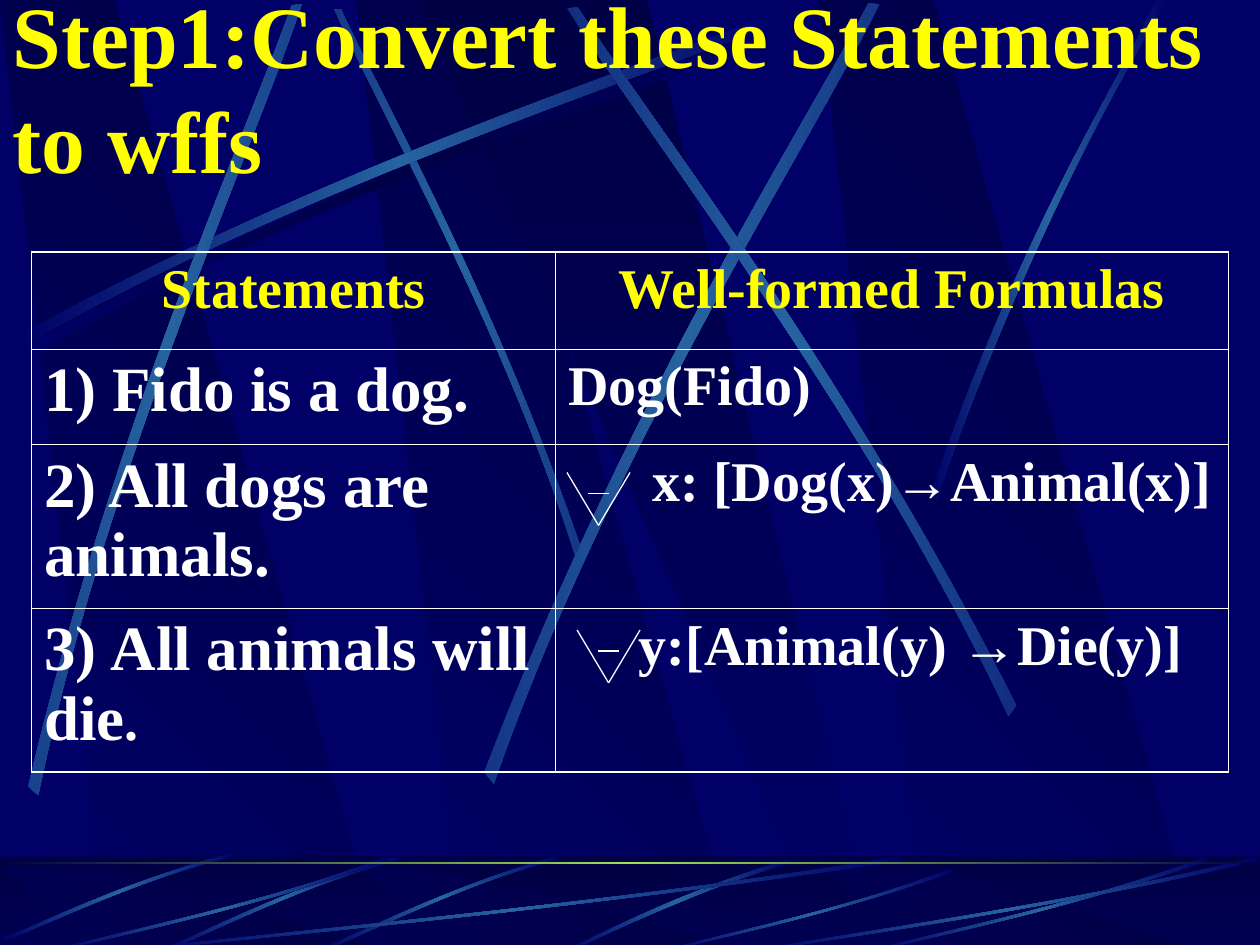
from dataclasses import dataclass

from lxml.etree import SubElement
from pptx import Presentation
from pptx.dml.color import RGBColor
from pptx.enum.shapes import MSO_CONNECTOR, MSO_SHAPE
from pptx.enum.text import MSO_ANCHOR, MSO_AUTO_SIZE, PP_ALIGN
from pptx.oxml.ns import qn
from pptx.util import Inches, Pt


@dataclass(frozen=True)
class Theme:
    navy: str = "000066"
    dark: str = "000044"
    streak: str = "2663A0"
    glow: str = "9CE157"
    accent: str = "FFFF00"
    text: str = "FFFFFF"
    font: str = "Times New Roman"
    symbol_font: str = "Arial"
    title: int = 50
    statement: int = 36
    formula: int = 32
    outer: float = 1.08
    inner: float = 0.45
    stroke: float = 0.75


T = Theme()
W, H = 10, 7.5
FADE = (T.navy, T.streak, T.navy)
SHADE = (T.navy, T.dark, T.navy)
FALL, RISE = (T.navy, T.dark), (T.dark, T.navy)

# A streak is two Bezier edges, four points each, in shares of its box
LONG_STREAK = [(0, .96), (.43, .43), (.83, .15), (.99, 0),
               (1, .02), (.83, .19), (.38, .5), (0, 1)]
FLAT_STREAK = [(1, .04), (.57, .57), (.17, .85), (.01, 1),
               (0, .99), (.17, .81), (.62, .51), (.99, 0)]
BENT_STREAK = [(.99, 0), (.49, .37), (.16, .82), (0, .99),
               (.03, 1), (.23, .75), (.68, .25), (1, .04)]
SIDE_STREAK = [(0, .99), (.4, .44), (.79, .17), (.95, 0),
               (1, 0), (.52, .37), (.16, .81), (.03, 1)]
BAND = [(.28, 1), (1, 1), (.3, 0), (0, 0)]
WIDE_BAND = [(0, 0), (.9, 1), (1, 1), (.5, 0)]


def paint(shape, colors, angle=0):
    """Even gradient, clockwise angle, that stays level when the shape turns."""
    shape.fill.gradient()
    shape.fill.gradient_angle = (360 - angle) % 360
    next(shape._element.iter(qn("a:gradFill"))).set("rotWithShape", "0")
    stops = next(shape._element.iter(qn("a:gsLst")))
    stops.clear()
    for i, color in enumerate(colors):
        gs = SubElement(stops, qn("a:gs"), pos=str(100000 * i // (len(colors) - 1)))
        SubElement(gs, qn("a:srgbClr"), val=color)
    plain(shape)


def plain(shape):
    shape.line.fill.background()
    shape.shadow.inherit = False


def place(box, points):
    x, y, w, h = box
    return [(Inches(x + w * px), Inches(y + h * py)) for px, py in points]


def polygon(s, points):
    builder = s.shapes.build_freeform(*points[0])
    builder.add_line_segments(points[1:], close=True)
    return builder.convert_to_shape()


def streak(s, box, edges, colors=FADE, turn=0, flip=False):
    if flip:
        edges = [(1 - x, y) for x, y in edges]
    pts = place(box, edges)
    shape = polygon(s, [pts[i] for i in (0, 3, 4, 7)])
    sides = list(shape._element.iter(qn("a:lnTo")))
    for side, controls in ((sides[0], pts[1:3]), (sides[2], pts[5:7])):
        curve = SubElement(side.getparent(), qn("a:cubicBezTo"))
        side.getparent().replace(side, curve)
        for x, y in controls:
            SubElement(curve, qn("a:pt"), x=str(x - shape.left), y=str(y - shape.top))
        curve.append(side[0])
    shape.rotation = turn
    paint(shape, colors)


def bar(s, box):
    return s.shapes.add_shape(MSO_SHAPE.RECTANGLE, *map(Inches, box))


def bands(s, top, height):
    for left in (2.83, 0, 6.5):
        paint(polygon(s, place((left, top, 3.02, height), BAND)), FALL, 315)
    paint(polygon(s, place((3.33, top, 3.61, height), WIDE_BAND)), RISE, 90)


def backdrop(s):
    bands(s, 0, 7.52)
    for box, colors, turn, flip in (
            ((.2, .18, 6.08, 2.67), SHADE, 0, False),
            ((1.41, 1.35, 4.42, 1.75), FADE, 45, True),
            ((.14, .1, 6.08, 2.67), FADE, 0, False),
            ((-1.71, 1.82, 6.08, 2.67), FADE, 311.7, False),
            ((2.31, 1.6, 6.24, 3.01), FADE, 321.6, False),
            ((3.23, 1.52, 6.08, 2.67), FADE, 34.8, True)):
        streak(s, box, LONG_STREAK, colors, turn, flip)
    streak(s, (7.38, 0, 1.89, 3.97), SIDE_STREAK)


def floor(s, top, height):
    paint(bar(s, (0, top, W, height)), RISE, 90)
    bands(s, top + .08, .66)
    veil = bar(s, (0, top - .01, W, height))
    veil.fill.solid()
    veil.fill.fore_color.rgb = RGBColor.from_string(T.dark)
    SubElement(next(veil._element.iter(qn("a:srgbClr"))), qn("a:alpha"), val="50000")
    plain(veil)
    streak(s, (4.48, top + .02, 1.8, .73), BENT_STREAK)
    for box in ((2.58, 6.76, 1.84, .83), (1.33, 6.76, 1.84, .83), (.05, 6.7, 1.79, .85)):
        streak(s, box, LONG_STREAK, turn=314.9, flip=True)
    for left, width, dy in ((1, 6.17, 0), (.42, 2.67, 0), (5.27, 2.31, .09),
                            (6.92, 2.67, 0), (6, 4, 0)):
        streak(s, (left, top + dy, width, height - dy), FLAT_STREAK)
    paint(bar(s, (0, top + .04, W, .02)), (T.dark, T.glow, T.dark))


def write(p, runs, color):
    """Add (text, size) runs; arrows take the symbol font."""
    for text, size in runs:
        r = p.add_run()
        r.text = text
        r.font.color.rgb = RGBColor.from_string(color)
        look = {"name": T.symbol_font if text == "→" else T.font,
                "size": Pt(size), "bold": True}
        for key, value in look.items():
            setattr(r.font, key, value)


def title(s, box, text):
    sp = s.shapes.title
    s.shapes._spTree.append(sp._element)
    for key, value in zip(("left", "top", "width", "height"), box):
        setattr(sp, key, Inches(value))
    tf = sp.text_frame
    for key, value in {"word_wrap": True, "auto_size": MSO_AUTO_SIZE.NONE,
                       "vertical_anchor": MSO_ANCHOR.MIDDLE}.items():
        setattr(tf, key, value)
    p = tf.paragraphs[0]
    p.alignment = PP_ALIGN.LEFT
    write(p, [(text, T.title)], T.accent)


def borders(cell, edges):
    tcPr = cell._tc.get_or_add_tcPr()
    for i, (side, outer) in enumerate(edges.items()):
        ln = SubElement(tcPr, qn(f"a:ln{side}"), w=str(Pt(T.outer if outer else T.inner)))
        SubElement(SubElement(ln, qn("a:solidFill")), qn("a:srgbClr"), val=T.text)
        tcPr.insert(i, ln)


def formula_table(s, box, cols, heights, rows):
    """Each cell is (runs, indent in inches)."""
    table = s.shapes.add_table(len(rows), len(cols), *map(Inches, box)).table
    table.first_row = table.horz_banding = False
    for col, width in zip(table.columns, cols):
        col.width = Inches(width)
    for i, (row, height, cells) in enumerate(zip(table.rows, heights, rows)):
        row.height = Inches(height)
        for j, (runs, indent) in enumerate(cells):
            cell = table.cell(i, j)
            cell.fill.background()
            borders(cell, {"L": j == 0, "R": j == len(cols) - 1,
                           "T": i == 0, "B": i == len(rows) - 1})
            p = cell.text_frame.paragraphs[0]
            p.alignment = PP_ALIGN.LEFT if i else PP_ALIGN.CENTER
            p.space_before = Pt(9 if runs[0][1] == T.statement and len(runs) == 1 else 8)
            p._p.get_or_add_pPr().set("marL", str(Inches(indent)))
            write(p, runs, T.text if i else T.accent)


def for_all_sign(s, box):
    x, y, w, h = box
    group = s.shapes.add_group_shape()
    for x1, y1, x2, y2 in ((0, 0, .5, 1), (1, 0, .5, 1), (.33, .4, .67, .4)):
        ends = (x + w * x1, y + h * y1, x + w * x2, y + h * y2)
        line = group.shapes.add_connector(MSO_CONNECTOR.STRAIGHT, *map(Inches, ends))
        line.line.color.rgb = RGBColor.from_string(T.text)
        line.line.width = Pt(T.stroke)
        SubElement(line._element.spPr, qn("a:effectLst"))


def main():
    prs = Presentation()
    prs.slide_width, prs.slide_height = Inches(W), Inches(H)
    s = prs.slides.add_slide(prs.slide_layouts[5])
    s.background.fill.solid()
    s.background.fill.fore_color.rgb = RGBColor.from_string(T.navy)
    backdrop(s)
    floor(s, 6.8, .75)
    title(s, (0, -.2, 9.75, 1.77), "Step1:Convert these Statements to wffs")
    big, mid = T.statement, T.formula
    rows = [
        [([("Statements", mid)], 0), ([("Well-formed Formulas", mid)], 0)],
        [([("1) Fido is a dog.", big)], 0), ([("Dog(Fido)", mid)], 0)],
        [([("2) All dogs are animals.", big)], 0),
         ([("x: [Dog(x)", mid), ("→", mid), ("Animal(x)]", mid)], .67)],
        [([("3)", big), (" ", mid), ("All animals will die", big), (".", mid)], 0),
         ([("y:[Animal(y) ", mid), ("→", mid), ("Die(y)]", mid)], .56)],
    ]
    formula_table(s, (.25, 2, 9.5, 4.13), (4.16, 5.34), (.77, .76, 1.3, 1.3), rows)
    for left, top in ((4.5, 3.75), (4.58, 5)):
        for_all_sign(s, (left, top, .5, .42))
    prs.save("out.pptx")


if __name__ == "__main__":
    main()
